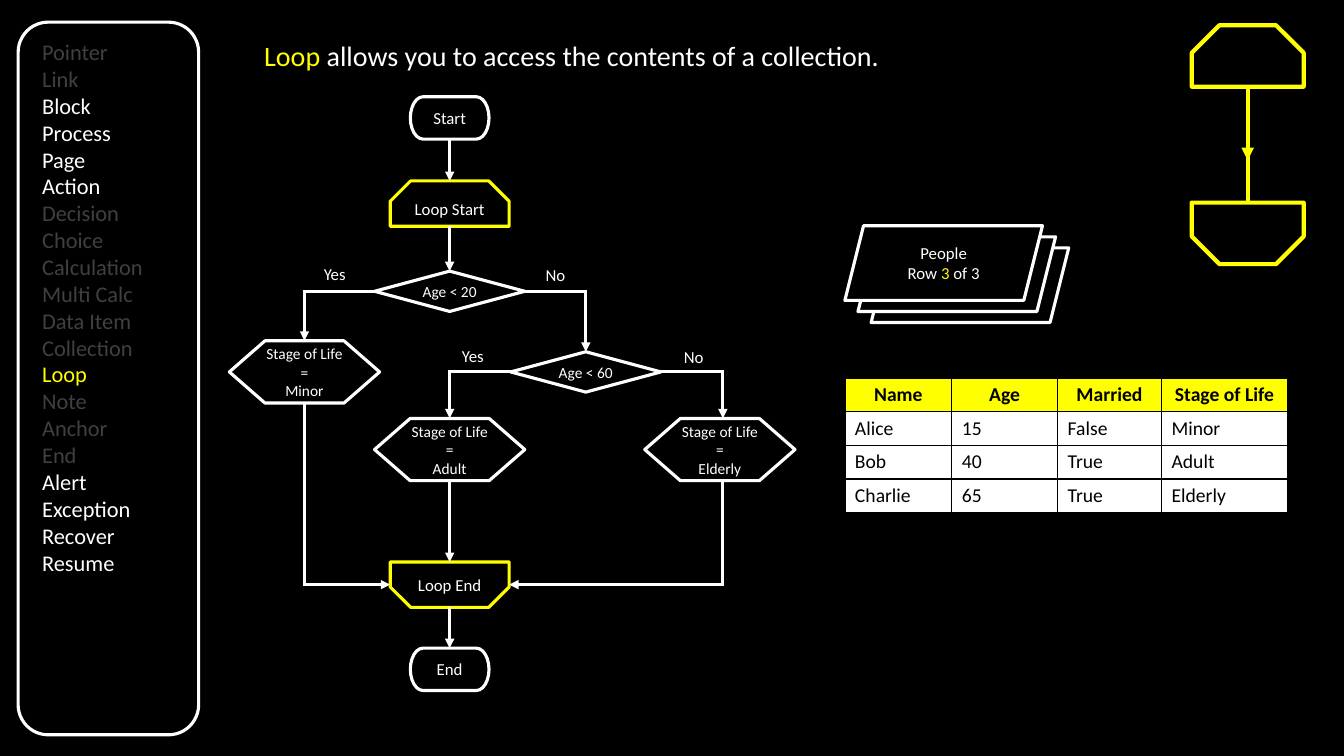
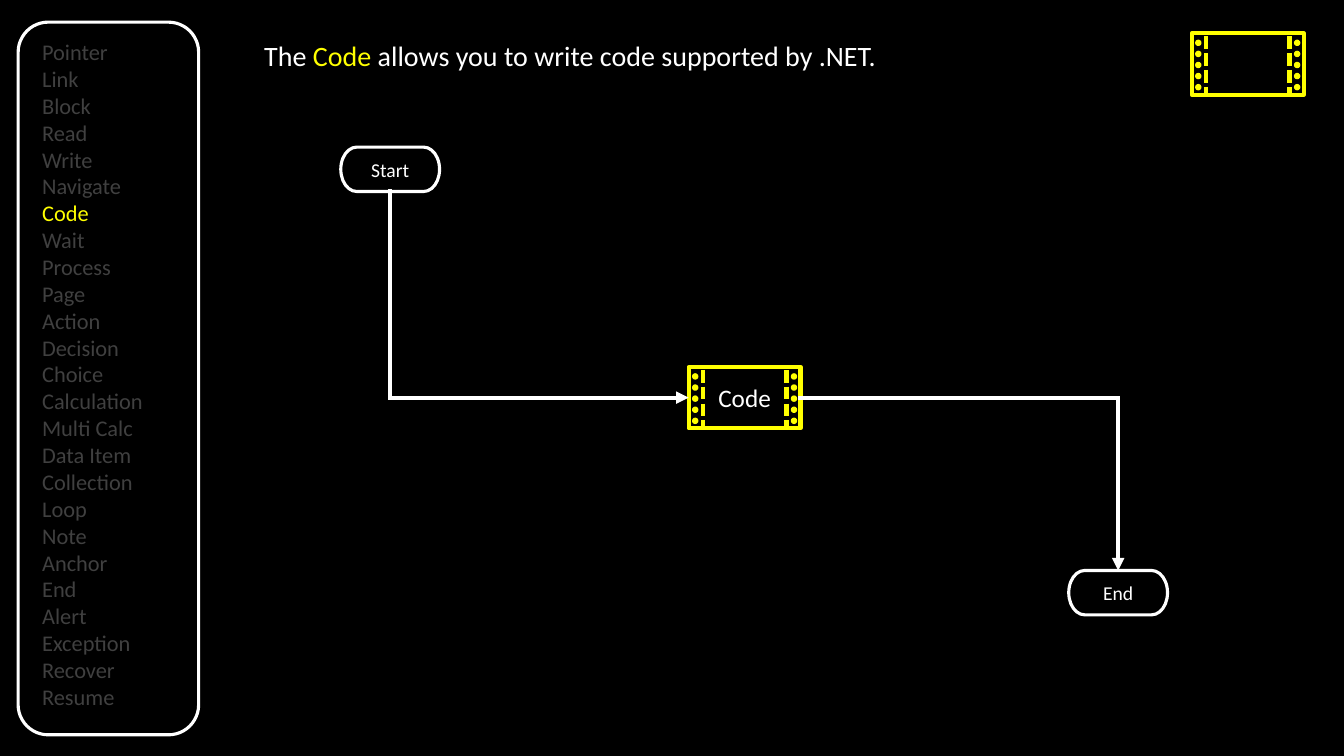
import pptx
import pptx.dml.color
import pptx.enum.dml
import pptx.enum.shapes
import pptx.enum.text
import pptx.oxml
import pptx.oxml.ns
import pptx.util

Inches = pptx.util.Inches
Pt = pptx.util.Pt
SHAPE = pptx.enum.shapes.MSO_SHAPE
ALIGN = pptx.enum.text.PP_ALIGN
ANCHOR = pptx.enum.text.MSO_ANCHOR

COLORS = {"black": "000000", "white": "FFFFFF", "yellow": "FFFF00", "gray": "404040"}
FONT = "Calibri"
TOP, LEFT, BOTTOM, RIGHT = range(4)
SNIP = [0.45, 0]
HEXAGON = [0.57, 1.15]

STAGES = [
    "Pointer", "Link", "Block", "Read", "Write", "Navigate", "Code", "Wait",
    "Process", "Page", "Action", "Decision", "Choice", "Calculation",
    "Multi Calc", "Data Item", "Collection", "Loop", "Note", "Anchor", "End",
    "Alert", "Exception", "Recover", "Resume",
]
CODE_STAGES = {"Read", "Write", "Navigate", "Code", "Wait"}
LIT_STAGES = {"Block", "Process", "Page", "Action", "Alert", "Exception", "Recover", "Resume"}

PEOPLE = [
    ["Name", "Age", "Married", "Stage of Life"],
    ["Alice", "15", "False", "Minor"],
    ["Bob", "40", "True", "Adult"],
    ["Charlie", "65", "True", "Elderly"],
]


def rgb(name):
    return pptx.dml.color.RGBColor.from_string(COLORS[name])


def set_values(target, values):
    for name, value in values.items():
        setattr(target, name, value)


def write(frame, lines, size, align=ALIGN.LEFT, bold=False):
    for index, line in enumerate(lines):
        para = frame.paragraphs[0] if index == 0 else frame.add_paragraph()
        para.alignment = align
        for text, color in line:
            span = para.add_run()
            span.text = text
            set_values(span.font, {"name": FONT, "size": Pt(size), "bold": bold})
            span.font.color.rgb = rgb(color)


def white_lines(text):
    return [[(line, "white")] for line in text.split("\n")]


def add_box(page, kind, left, top, width, height, color="white", weight=2.25,
            fill=None, adjust=(), lines=(), size=12):
    box = page.shapes.add_shape(kind, Inches(left), Inches(top), Inches(width), Inches(height))
    box.shadow.inherit = False
    for index, value in enumerate(adjust):
        box.adjustments[index] = value
    if fill:
        box.fill.solid()
        box.fill.fore_color.rgb = rgb(fill)
    else:
        box.fill.background()
    box.line.color.rgb = rgb(color)
    box.line.width = Pt(weight)
    set_values(box.text_frame, {
        "word_wrap": True, "vertical_anchor": ANCHOR.MIDDLE, "margin_left": 0,
        "margin_right": 0, "margin_top": 0, "margin_bottom": 0,
    })
    write(box.text_frame, lines, size, ALIGN.CENTER)
    return box


def add_node(page, kind, center, middle, width, height, text="", **options):
    return add_box(page, kind, center - width / 2, middle - height / 2, width, height,
                   lines=white_lines(text) if text else (), **options)


def add_text(page, left, top, width, height, lines, size, align=ALIGN.LEFT):
    box = page.shapes.add_textbox(Inches(left), Inches(top), Inches(width), Inches(height))
    box.text_frame.word_wrap = True
    write(box.text_frame, lines, size, align)


def add_line(page, start, end, color="white", weight=2.25, arrow=False, square=False):
    line = page.shapes.add_connector(
        pptx.enum.shapes.MSO_CONNECTOR.STRAIGHT, *[Inches(value) for value in (*start, *end)])
    line.line.color.rgb = rgb(color)
    line.line.width = Pt(weight)
    stroke = line.line._get_or_add_ln()
    if square:
        stroke.set("cap", "sq")
    if arrow:
        stroke.append(pptx.oxml.parse_xml(
            f'<a:tailEnd {pptx.oxml.ns.nsdecls("a")} type="triangle"/>'))
    line.element.spPr.append(pptx.oxml.parse_xml(
        f'<a:effectLst {pptx.oxml.ns.nsdecls("a")}/>'))
    return line


def add_route(page, points, begin=None, end=None, weight=2.25):
    legs = list(zip(points, points[1:]))
    lines = [add_line(page, *leg, weight=weight, arrow=leg == legs[-1], square=leg != legs[-1])
             for leg in legs]
    if begin:
        lines[0].begin_connect(*begin)
    if end:
        lines[-1].end_connect(*end)


def start_page(deck, heading, stages, current, lit=()):
    page = deck.slides.add_slide(deck.slide_layouts[5])
    page.background.fill.solid()
    page.background.fill.fore_color.rgb = rgb("black")
    title = page.shapes.title
    set_values(title, {"left": Inches(2.52), "top": Inches(0.33),
                       "width": Inches(8.5), "height": Inches(0.44)})
    set_values(title.text_frame, {"word_wrap": True, "vertical_anchor": ANCHOR.TOP,
                                  "auto_size": pptx.enum.text.MSO_AUTO_SIZE.NONE})
    write(title.text_frame, [heading], 20)
    add_sidebar(page, 0.18, 0.22, stages, current, lit)
    return page


def add_sidebar(page, left, top, stages, current, lit):
    lines = []
    for stage in stages:
        color = "yellow" if stage == current else "white" if stage in lit else "gray"
        lines.append([(stage, color)])
    add_text(page, left + 0.14, top + 0.11, 1.5, 6.83, lines, 16)
    add_box(page, SHAPE.ROUNDED_RECTANGLE, left, top, 1.79, 7.07)


def add_loop_icon(page, left, top):
    style = {"color": "yellow", "weight": 3}
    width, height, drop = 1.11, 0.61, 1.76
    center = left + width / 2
    for offset, angle in ((0, 0), (drop, 180)):
        box = add_box(page, SHAPE.SNIP_2_SAME_RECTANGLE, left, top + offset, width, height,
                      fill="black", adjust=SNIP, **style)
        box.rotation = angle
    add_line(page, (center, top + height), (center, top + 1.34), arrow=True, **style)
    add_line(page, (center, top + height), (center, top + drop), **style)


def add_code_icon(page, left, top, lines=()):
    width, height, dot = 1.11, 0.61, 0.05
    box = add_box(page, SHAPE.RECTANGLE, left, top, width, height,
                  color="yellow", weight=3, lines=lines, size=18)
    for inset in (0.14, width - 0.14):
        dash = add_line(page, (left + inset, top + 0.03), (left + inset, top + height),
                        color="yellow", weight=3)
        dash.line.dash_style = pptx.enum.dml.MSO_LINE.SQUARE_DOT
        dash.line._get_or_add_ln().prstDash.set("val", "sysDash")
    for inset in (0.04, width - 0.04 - dot):
        for row in range(5):
            add_box(page, SHAPE.FLOWCHART_CONNECTOR, left + inset, top + 0.07 + 0.11 * row,
                    dot, dot, color="yellow", weight=1, fill="yellow")
    return box


def add_loop_flow(page, left, top):
    minor, main, branch, elder = [left + offset for offset in (0.74, 2.18, 3.53, 4.89)]
    first, second, third = [top + offset for offset in (1.93, 2.73, 3.5)]
    opening, closing = top + 1.06, top + 4.84
    ends = (0.78, 0.42)
    decision = (1.49, 0.4)
    assign = (1.49, 0.62)
    limit = (1.18, 0.45)
    half = decision[0] / 2

    start = add_node(page, SHAPE.FLOWCHART_TERMINATOR, main, top + 0.21, *ends, "Start")
    finish = add_node(page, SHAPE.FLOWCHART_TERMINATOR, main, top + 5.68, *ends, "End")
    limits = {"color": "yellow", "fill": "black", "adjust": SNIP}
    add_node(page, SHAPE.SNIP_2_SAME_RECTANGLE, main, opening, *limit, "Loop Start", **limits)
    bottom = add_node(page, SHAPE.SNIP_2_SAME_RECTANGLE, main, closing, *limit, **limits)
    bottom.rotation = 180
    under20 = add_node(page, SHAPE.DIAMOND, main, first, *decision, "Age < 20", size=11)
    under60 = add_node(page, SHAPE.DIAMOND, branch, second, *decision, "Age < 60", size=11)
    for center, middle, stage in ((minor, second, "Minor"), (main, third, "Adult"),
                                  (elder - 0.03, third, "Elderly")):
        add_node(page, SHAPE.HEXAGON, center, middle, *assign, f"Stage of Life\n=\n{stage}",
                 adjust=HEXAGON, size=11)

    for center, middle, text in ((main, closing, "Loop End"),
                                 (left + 1.04, top + 1.76, "Yes"), (left + 3.23, top + 1.77, "No"),
                                 (left + 2.41, top + 2.57, "Yes"), (left + 4.6, top + 2.58, "No")):
        add_text(page, center - 0.45, middle - 0.15, 0.9, 0.3, white_lines(text), 12, ALIGN.CENTER)

    above, below = -assign[1] / 2, assign[1] / 2
    edge = limit[1] / 2
    add_route(page, [(main, top + 0.42), (main, opening - edge)], begin=(start, BOTTOM))
    add_route(page, [(main, opening + edge), (main, first - 0.2)], end=(under20, TOP))
    add_route(page, [(main - half, first), (minor, first), (minor, second + above)],
              begin=(under20, LEFT))
    add_route(page, [(main + half, first), (branch, first), (branch, second - 0.2)],
              begin=(under20, RIGHT), end=(under60, TOP))
    add_route(page, [(branch - half, second), (main, second), (main, third + above)],
              begin=(under60, LEFT))
    add_route(page, [(branch + half, second), (elder, second), (elder, third + above)],
              begin=(under60, RIGHT))
    add_route(page, [(minor, second + below), (minor, closing), (main - limit[0] / 2, closing)])
    add_route(page, [(elder, third + below), (elder, closing), (main + limit[0] / 2, closing)])
    add_route(page, [(main, third + below), (main, closing - edge)])
    add_route(page, [(main, closing + edge), (main, top + 5.47)], end=(finish, TOP))


def add_collection(page, left, top):
    row = [("Row ", "white"), ("3", "yellow"), (" of 3", "white")]
    for depth, fill in ((2, None), (1, "black"), (0, "black")):
        add_box(page, SHAPE.PARALLELOGRAM, left + 0.13 * depth, top + 0.11 * depth, 1.96, 0.74,
                fill=fill, lines=() if depth else [[("People", "white")], row])


def add_people_table(page, left, top):
    widths = (1.06, 1.05, 1.03, 1.25)
    table = page.shapes.add_table(len(PEOPLE), len(widths), Inches(left), Inches(top),
                                  Inches(sum(widths)), Inches(1.33)).table
    set_values(table, {"first_row": False, "horz_banding": False})
    for column, width in zip(table.columns, widths):
        column.width = Inches(width)
    for row, values in enumerate(PEOPLE):
        header = row == 0
        for column, value in enumerate(values):
            cell = table.cell(row, column)
            write(cell.text_frame, [[(value, "black")]], 14,
                  ALIGN.CENTER if header else ALIGN.LEFT, header)
            properties = cell._tc.get_or_add_tcPr()
            for side in ("lnL", "lnR", "lnT", "lnB"):
                properties.append(pptx.oxml.parse_xml(
                    f'<a:{side} {pptx.oxml.ns.nsdecls("a")} w="12700"><a:solidFill>'
                    f'<a:srgbClr val="{COLORS["black"]}"/></a:solidFill></a:{side}>'))
            cell.fill.solid()
            cell.fill.fore_color.rgb = rgb("yellow" if header else "white")


def add_code_flow(page, left, top):
    width, height = 0.98, 0.44
    code_left, code_top = left + 3.45, top + 2.18
    end_left, end_top = left + 7.22, top + 4.2
    middle = code_top + 0.61 / 2
    start, finish = [
        add_box(page, SHAPE.FLOWCHART_TERMINATOR, x, y, width, height,
                lines=white_lines(text), size=14)
        for x, y, text in ((left, top, "Start"), (end_left, end_top, "End"))
    ]
    code = add_code_icon(page, code_left, code_top, white_lines("Code"))
    start_center, end_center = left + width / 2, end_left + width / 2
    add_route(page, [(start_center, top + height), (start_center, middle), (code_left, middle)],
              begin=(start, BOTTOM), end=(code, LEFT), weight=3)
    add_route(page, [(code_left + 1.11, middle), (end_center, middle), (end_center, end_top)],
              begin=(code, RIGHT), end=(finish, TOP), weight=3)


def build_loop_page(deck):
    heading = [("Loop", "yellow"),
               (" allows you to access the contents of a collection.", "white")]
    stages = [stage for stage in STAGES if stage not in CODE_STAGES]
    page = start_page(deck, heading, stages, "Loop", LIT_STAGES)
    add_people_table(page, 8.38, 3.75)
    add_collection(page, 8.38, 2.24)
    add_loop_icon(page, 11.82, 0.25)
    add_loop_flow(page, 2.28, 0.96)


def build_code_page(deck):
    heading = [("The ", "white"), ("Code", "yellow"),
               (" allows you to write code supported by .NET.", "white")]
    page = start_page(deck, heading, STAGES, "Code")
    add_code_icon(page, 11.82, 0.33)
    add_code_flow(page, 3.38, 1.46)


def main():
    deck = pptx.Presentation()
    set_values(deck, {"slide_width": Inches(13.33), "slide_height": Inches(7.5)})
    build_loop_page(deck)
    build_code_page(deck)
    deck.save("out.pptx")


if __name__ == "__main__":
    main()
